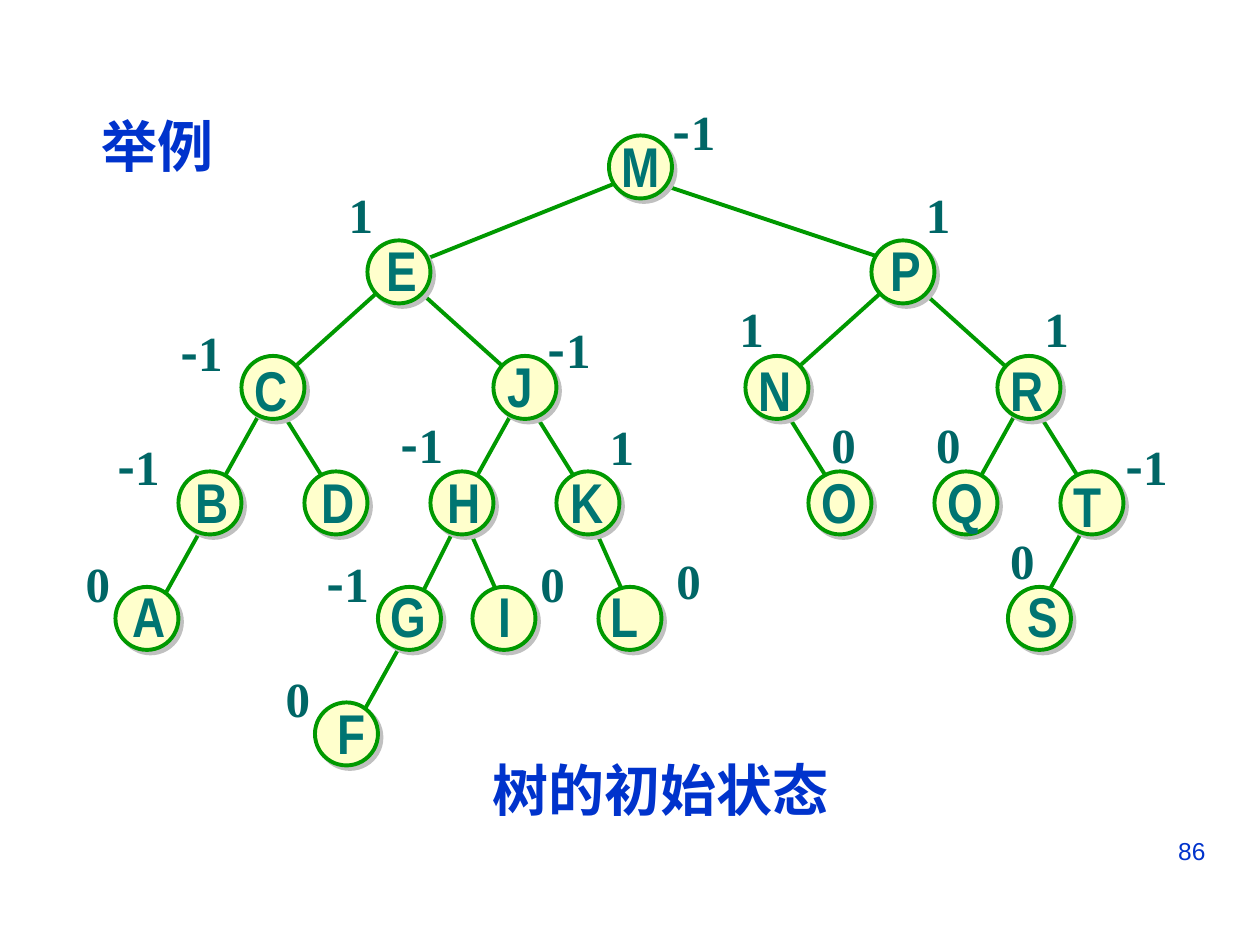
from lxml import etree
from pptx import Presentation
from pptx.dml.color import RGBColor
from pptx.enum import shapes, text
from pptx.oxml import ns
from pptx.util import Pt

GREEN = RGBColor(0x00, 0x99, 0x00)
CREAM = RGBColor(0xFF, 0xFF, 0xCC)
TEAL = RGBColor(0x00, 0x75, 0x72)
DARK_TEAL = RGBColor(0x00, 0x66, 0x66)
BLUE = RGBColor(0x00, 0x33, 0xCC)
SHADOW_GREY = RGBColor(0xC0, 0xC0, 0xC0)
CJK_FONT = "Noto Sans CJK SC"
DIAMETER = 36
LEVEL_TOPS = [77.4] + [137.4 + 66 * step for step in range(5)]

# Node: level, circle left, letter box offset (x, y) and width
NODES = {
    "A": (4, 66, 2.4, -6.4, 34), "B": (3, 102, 2.4, -6, 34),
    "C": (2, 138, 0.4, -4, 34), "D": (3, 174, 2.4, -6, 34),
    "E": (1, 210, 3.8, -6.4, 31.7), "F": (5, 180, 5.8, -6, 30.2),
    "G": (4, 216, 0, -6.4, 34.6), "H": (3, 246, 2.4, -6, 34),
    "I": (4, 270, 7.9, -6.4, 21.6), "J": (2, 282, 1, -6, 28.8),
    "K": (3, 318, 1, -6, 34), "L": (4, 342, 0, -6.4, 30.2),
    "M": (0, 348, 0, -6, 36.7), "N": (2, 426, 0.4, -4, 34),
    "O": (3, 462, 0.2, -6, 34.6), "P": (1, 498, 3.8, -6.4, 31.7),
    "Q": (3, 534, 0.2, -6, 34.6), "R": (2, 570, 0.4, -4, 34),
    "S": (4, 576, 4.3, -6.4, 31.7), "T": (3, 606, 0.2, -3.7, 30.2),
}

# Branch from parent to child: x and y of both ends
BRANCHES = [
    (360, 101.4, 240, 149.4), (366, 101.4, 510, 149.4),  # M: E, P
    (222, 161.4, 162, 215.4), (234, 161.4, 294, 215.4),  # E: C, J
    (510, 161.4, 450, 215.4), (528, 167.4, 588, 221.4),  # P: N, R
    (150, 233.4, 120, 287.4), (156, 227.4, 186, 275.4),  # C: B, D
    (294, 233.4, 264, 287.4), (300, 227.4, 330, 275.4),  # J: H, K
    (444, 227.4, 474, 275.4),                            # N: O
    (582, 233.4, 552, 287.4), (588, 227.4, 618, 275.4),  # R: Q, T
    (120, 293.4, 90, 347.4),                             # B: A
    (264, 293.4, 234, 353.4), (264, 293.4, 288, 347.4),  # H: G, I
    (336, 293.4, 360, 347.4),                            # K: L
    (624, 293.4, 594, 347.4),                            # T: S
    (234, 359.4, 204, 413.4),                            # G: F
]

# Left and top of the balance factors
BALANCES = {
    "0": [(41.8, 312.5), (156.2, 378.7), (301.7, 312.5), (379.4, 311),
          (468, 233.3), (527.8, 233.3), (570.2, 299.5)],
    "-1": [(635.8, 246.2), (377.3, 54.7), (306, 179.3), (95.8, 180.7),
           (59.8, 246.2), (179.3, 312.5), (221.8, 233.3)],
    "1": [(341.3, 234.7), (415.4, 167), (589.7, 167), (522, 102.2), (192.2, 102.2)],
}


def add_effects(shape, with_shadow):
    effects = etree.SubElement(shape.element.spPr, ns.qn("a:effectLst"))
    if with_shadow:
        shadow = etree.SubElement(effects, ns.qn("a:outerShdw"), blurRad="0",
                                  dist=str(Pt(2.8)), dir="2700000", algn="ctr", rotWithShape="0")
        etree.SubElement(shadow, ns.qn("a:srgbClr"), val=str(SHADOW_GREY))


def write(shape, runs, size, color, bold=True, align=text.PP_ALIGN.LEFT):
    frame = shape.text_frame
    frame.word_wrap = False
    frame.vertical_anchor = text.MSO_ANCHOR.TOP
    frame.auto_size = text.MSO_AUTO_SIZE.NONE
    paragraph = frame.paragraphs[0]
    paragraph.alignment = align
    for content, font_name in runs:
        run = paragraph.add_run()
        run.text = content
        run.font.name = font_name
        run.font.size = Pt(size)
        run.font.bold = bold
        run.font.color.rgb = color
        etree.SubElement(run.font._element, ns.qn("a:ea"), typeface=CJK_FONT)


presentation = Presentation()
presentation.slide_width = Pt(720)
presentation.slide_height = Pt(540)
slide = presentation.slides.add_slide(presentation.slide_layouts[5])

# Title
title = slide.shapes.title
title.left, title.top, title.width, title.height = Pt(51), Pt(60), Pt(78.5), Pt(45.4)
write(title, [("举例", "Times New Roman")], 32, BLUE)

# Branches of the tree
tree = slide.shapes.add_group_shape().shapes
for ends in BRANCHES:
    branch = tree.add_connector(shapes.MSO_CONNECTOR.STRAIGHT, *map(Pt, ends))
    branch.line.color.rgb = GREEN
    branch.line.width = Pt(2.25)
    add_effects(branch, with_shadow=False)

# Nodes with their letters
for letter, (level, left, dx, dy, width) in NODES.items():
    top = LEVEL_TOPS[level]
    node = tree.add_shape(shapes.MSO_SHAPE.OVAL, Pt(left), Pt(top), Pt(DIAMETER), Pt(DIAMETER))
    node.fill.solid()
    node.fill.fore_color.rgb = CREAM
    node.line.color.rgb = GREEN
    node.line.width = Pt(2.25)
    add_effects(node, with_shadow=True)
    box = tree.add_textbox(Pt(left + dx), Pt(top + dy), Pt(width), Pt(45.4))
    write(box, [(letter, "Arial Narrow")], 32, TEAL)

# Balance factors
for value, places in BALANCES.items():
    runs = [(sign, CJK_FONT if sign == "-" else "Times New Roman") for sign in value]
    for left, top in places:
        box = tree.add_textbox(Pt(left), Pt(top), Pt(42.5 if len(value) > 1 else 28.8), Pt(41))
        write(box, runs, 28, DARK_TEAL)

# Caption
caption = slide.shapes.add_textbox(Pt(274.3), Pt(428.4), Pt(207.4), Pt(45.4))
write(caption, [("树的初始状态", "Times New Roman")], 32, BLUE)

# Page number
page_number = slide.shapes.add_textbox(Pt(516), Pt(474), Pt(180), Pt(37.5))
write(page_number, [("86", "Arial")], 14, BLUE, bold=False, align=text.PP_ALIGN.RIGHT)
page_number.text_frame.word_wrap = True

presentation.save("out.pptx")
